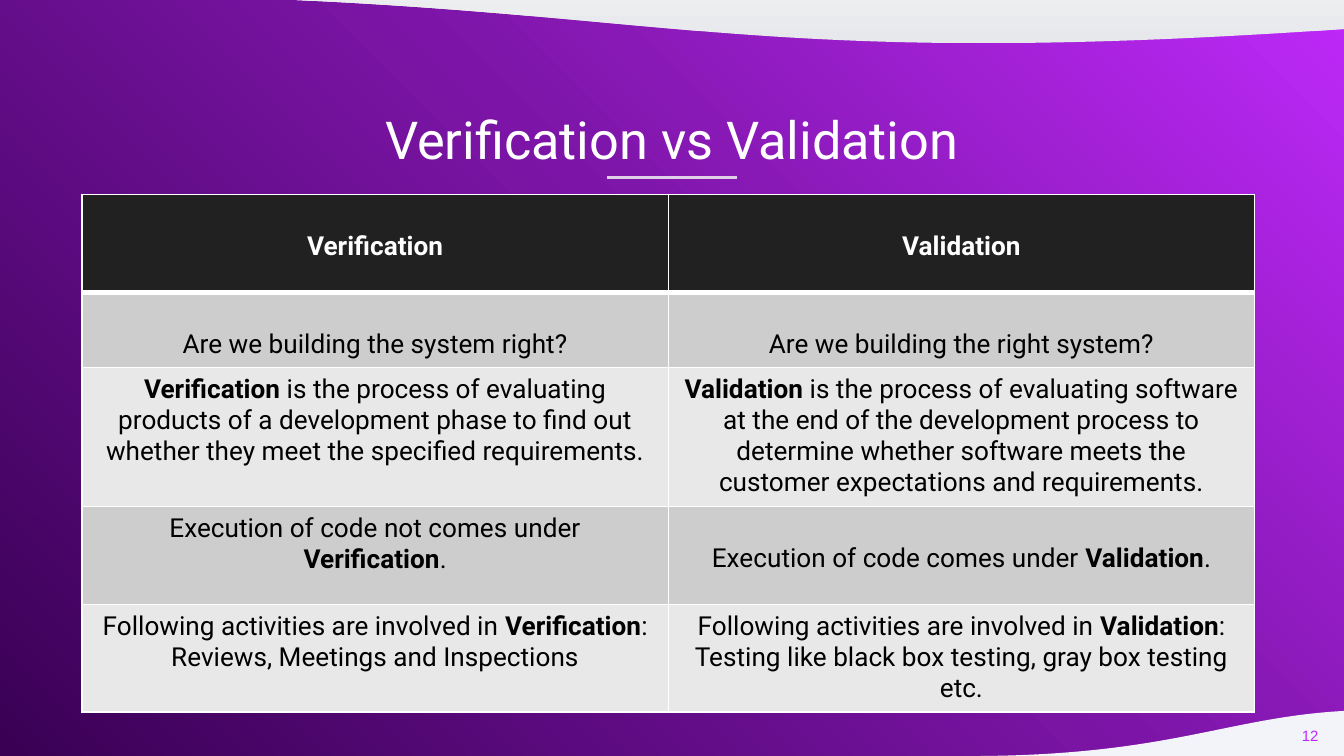
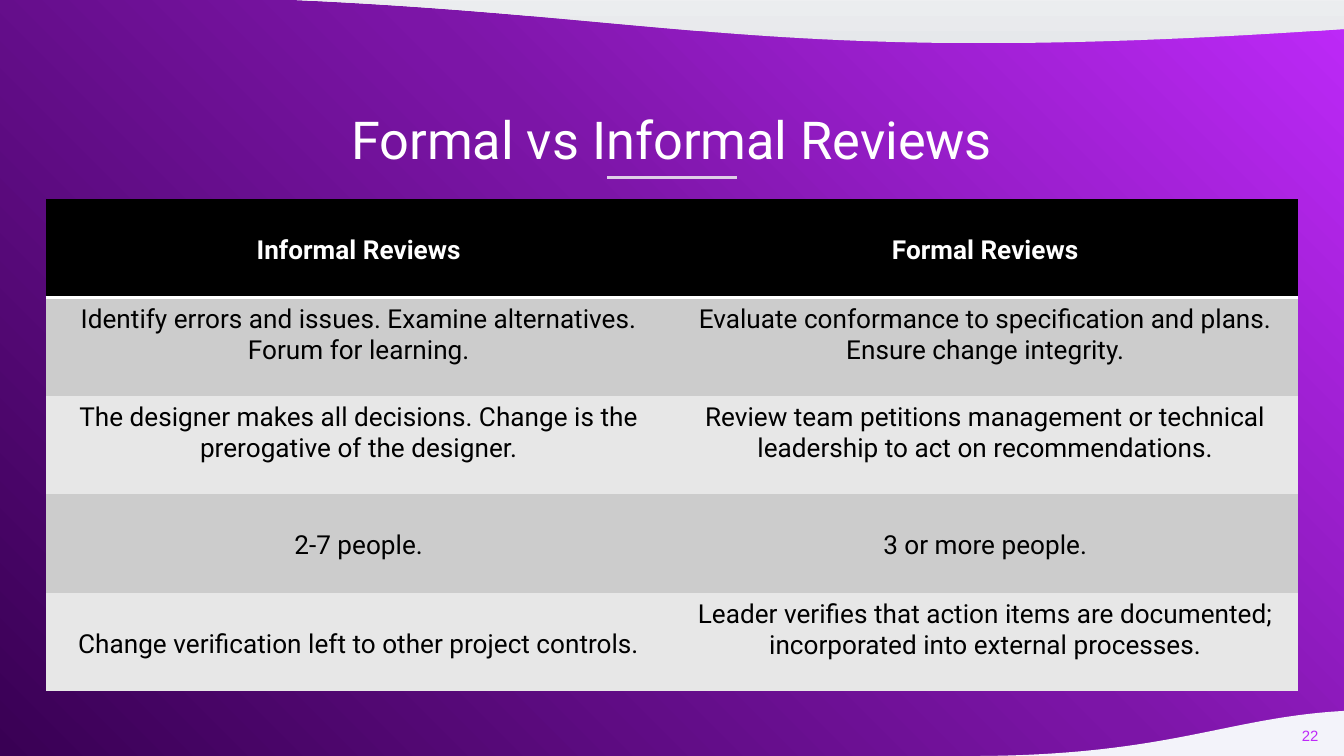
import dataclasses
from typing import Any

import pptx
import pptx.dml.color
import pptx.enum.shapes
import pptx.enum.text
import pptx.oxml
import pptx.oxml.ns
import pptx.util
from pptx.util import Cm

qn = pptx.oxml.ns.qn
ALIGN = pptx.enum.text.PP_ALIGN
ANCHOR = pptx.enum.text.MSO_ANCHOR
WHITE, BLACK, VIOLET, LILAC = "FFFFFF", "000000", "BE29F9", "DFCFE7"
BACKDROP = [(0, VIOLET), (45, "7C15A7"), (100, "390054")]
NO_STYLE = "{2D5ABB26-0587-4C30-8999-92F81FD0307C}"
INSETS = dict.fromkeys(("margin_left", "margin_right", "margin_top", "margin_bottom"), Cm(0.25))
LOWERED = Cm(0.69)


@dataclasses.dataclass
class Band:
    """A wavy band across a corner of the slide."""
    box: tuple[float, float, float, float]
    stops: list[tuple[int, str]]
    rotation: int = 0
    flipped: bool = False


@dataclasses.dataclass
class Label:
    """A one-line text box."""
    box: tuple[float, float, float, float]
    size: int
    font: str
    color: str
    align: Any
    anchor: Any


@dataclasses.dataclass
class Comparison:
    """A two-column table; * toggles bold and a leading > lowers the text."""
    title: str
    page: str
    left: float
    top: float
    column: float
    heights: list[float]
    fills: tuple[str, str, str]
    grid: float
    rule: float
    rows: list[tuple[str, str]]


BANDS = [
    Band((-0.05, -4.17, 25.48, 5.05), [(0, "E6E8EB"), (34, "F3F4F5"), (100, WHITE)], flipped=True),
    Band((18.29, 13.36, 10.62, 4.7), [(0, "F3F3FA"), (89, "F9F9FD"), (100, WHITE)], rotation=180),
]
TITLE = Label((0.86, 1.78, 23.67, 1.45), 28, "Roboto", WHITE, ALIGN.CENTER, ANCHOR.TOP)
PAGE = Label((23.65, 13.36, 1.52, 1.09), 8, "Arial", VIOLET, ALIGN.RIGHT, ANCHOR.MIDDLE)

COMPARISONS = [
    Comparison(
        "Verification vs Validation", "12", 1.55, 3.68, 11.08,
        [1.85, 1.42, 1.85, 1.85, 1.85], ("212121", "CDCDCD", "E8E8E8"), 1, 3,
        [
            (">*Verification*", ">*Validation*"),
            (">Are we building the system right?", ">Are we building the right system?"),
            ("*Verification* is the process of evaluating products of a development phase "
             "to find out whether they meet the specified requirements.",
             "*Validation* is the process of evaluating software at the end of the development "
             "process to determine whether software meets the customer expectations and requirements."),
            ("Execution of code not comes under *Verification*.",
             ">Execution of code comes under *Validation*."),
            ("Following activities are involved in *Verification*: Reviews, Meetings and Inspections",
             "Following activities are involved in *Validation*: "
             "Testing like black box testing, gray box testing etc."),
        ],
    ),
    Comparison(
        "Formal vs Informal Reviews", "22", 0.86, 3.76, 11.84,
        [1.86] * 5, (BLACK, "CCCCCC", "E7E7E7"), 0, 2,
        [
            (">*Informal Reviews*", ">*Formal Reviews*"),
            ("Identify errors and issues. Examine alternatives. Forum for learning.",
             "Evaluate conformance to specification and plans. Ensure change integrity."),
            ("The designer makes all decisions. Change is the prerogative of the designer.",
             "Review team petitions management or technical leadership to act on recommendations."),
            (">2-7 people.", ">3 or more people."),
            (">Change verification left to other project controls.",
             "Leader verifies that action items are documented; incorporated into external processes."),
        ],
    ),
]


def rgb(value: str) -> pptx.dml.color.RGBColor:
    """Return the colour for a hex string."""
    return pptx.dml.color.RGBColor.from_string(value)


def apply(target: Any, values: dict[str, Any]) -> None:
    """Set each named attribute on the target."""
    for name, value in values.items():
        setattr(target, name, value)


def gradient(fill: Any, element: Any, stops: list[tuple[int, str]], angle: int) -> None:
    """Fill with a linear gradient through the given stops."""
    fill.gradient()
    fill.gradient_angle = angle
    stop_list = next(element.iter(qn("a:gsLst")))
    for old in list(stop_list):
        stop_list.remove(old)
    for position, color in stops:
        gs = pptx.oxml.parse_xml(
            f'<a:gs {pptx.oxml.ns.nsdecls("a")} pos="{position * 1000}"><a:srgbClr val="{color}"/></a:gs>')
        stop_list.append(gs)


def add_run(p: Any, text: str, size: int, font: str, color: str, bold: bool = False) -> None:
    """Append a formatted run to a paragraph."""
    r = p.add_run()
    r.text = text
    apply(r.font, {"size": pptx.util.Pt(size), "name": font, "bold": bold})
    r.font.color.rgb = rgb(color)


def add_band(s: Any, band: Band) -> None:
    """Draw a wavy corner band."""
    sp = s.shapes.add_shape(
        pptx.enum.shapes.MSO_SHAPE.FLOWCHART_DOCUMENT, *map(Cm, band.box))
    sp.shadow.inherit = False
    sp.rotation = band.rotation
    sp.line.fill.background()
    gradient(sp.fill, sp.element, band.stops, 90)
    if band.flipped:
        next(sp.element.iter(qn("a:xfrm"))).set("flipH", "1")


def add_label(s: Any, label: Label, text: str) -> None:
    """Draw a one-line text box."""
    tf = s.shapes.add_textbox(*map(Cm, label.box)).text_frame
    apply(tf, {**INSETS, "word_wrap": True, "vertical_anchor": label.anchor})
    p = tf.paragraphs[0]
    p.alignment = label.align
    add_run(p, text, label.size, label.font, label.color)


def add_underline(s: Any) -> None:
    """Draw the short line below the title."""
    line = s.shapes.add_connector(
        pptx.enum.shapes.MSO_CONNECTOR.STRAIGHT, Cm(11.48), Cm(3.36), Cm(13.92), Cm(3.36))
    line.line.color.rgb = rgb(LILAC)
    line.line.width = pptx.util.Pt(1.5)
    pptx.oxml.ns.qn("a:effectLst")
    line.element.spPr.append(
        pptx.oxml.parse_xml(f'<a:effectLst {pptx.oxml.ns.nsdecls("a")}/>'))


def add_border(cell: Any, side: str, width: float) -> None:
    """Give one side of a cell a white border, or none at zero width."""
    paint = f'<a:solidFill><a:srgbClr val="{WHITE}"/></a:solidFill>' if width else "<a:noFill/>"
    cell._tc.get_or_add_tcPr().append(pptx.oxml.parse_xml(
        f'<a:ln{side} {pptx.oxml.ns.nsdecls("a")} w="{pptx.util.Pt(width)}">{paint}</a:ln{side}>'))


def fill_cell(cell: Any, text: str, row: int, data: Comparison) -> None:
    """Write and format one table cell."""
    widths = {
        "L": data.grid,
        "R": data.grid,
        "T": data.rule if row == 1 else data.grid,
        "B": data.rule if row == 0 else data.grid,
    }
    for side, width in widths.items():
        add_border(cell, side, width)
    cell.fill.solid()
    cell.fill.fore_color.rgb = rgb(data.fills[0 if row == 0 else 2 - row % 2])
    if text.startswith(">"):
        cell.margin_top = LOWERED
    p = cell.text_frame.paragraphs[0]
    p.alignment = ALIGN.CENTER
    for i, part in enumerate(text.removeprefix(">").split("*")):
        if part:
            add_run(p, part, 14, "Roboto", BLACK if row else WHITE, i % 2 == 1)


def add_comparison(s: Any, data: Comparison) -> None:
    """Draw the comparison table."""
    frame = s.shapes.add_table(
        len(data.rows), 2, Cm(data.left), Cm(data.top), Cm(2 * data.column), Cm(sum(data.heights)))
    next(frame.element.iter(qn("a:tableStyleId"))).text = NO_STYLE
    table = frame.table
    table.horz_banding = False
    for column in table.columns:
        column.width = Cm(data.column)
    for i, (height, texts) in enumerate(zip(data.heights, data.rows)):
        table.rows[i].height = Cm(height)
        for j, text in enumerate(texts):
            fill_cell(table.cell(i, j), text, i, data)


def add_slide(prs: Any, data: Comparison) -> None:
    """Build one comparison slide."""
    s = prs.slides.add_slide(prs.slide_layouts[6])
    gradient(s.background.fill, s.element, BACKDROP, 225)
    for band in BANDS:
        add_band(s, band)
    add_underline(s)
    add_label(s, TITLE, data.title)
    add_label(s, PAGE, data.page)
    add_comparison(s, data)


def main() -> None:
    """Build and save the presentation."""
    prs = pptx.Presentation()
    apply(prs, {"slide_width": Cm(25.4), "slide_height": Cm(14.29)})
    for data in COMPARISONS:
        add_slide(prs, data)
    prs.save("out.pptx")


if __name__ == "__main__":
    main()
